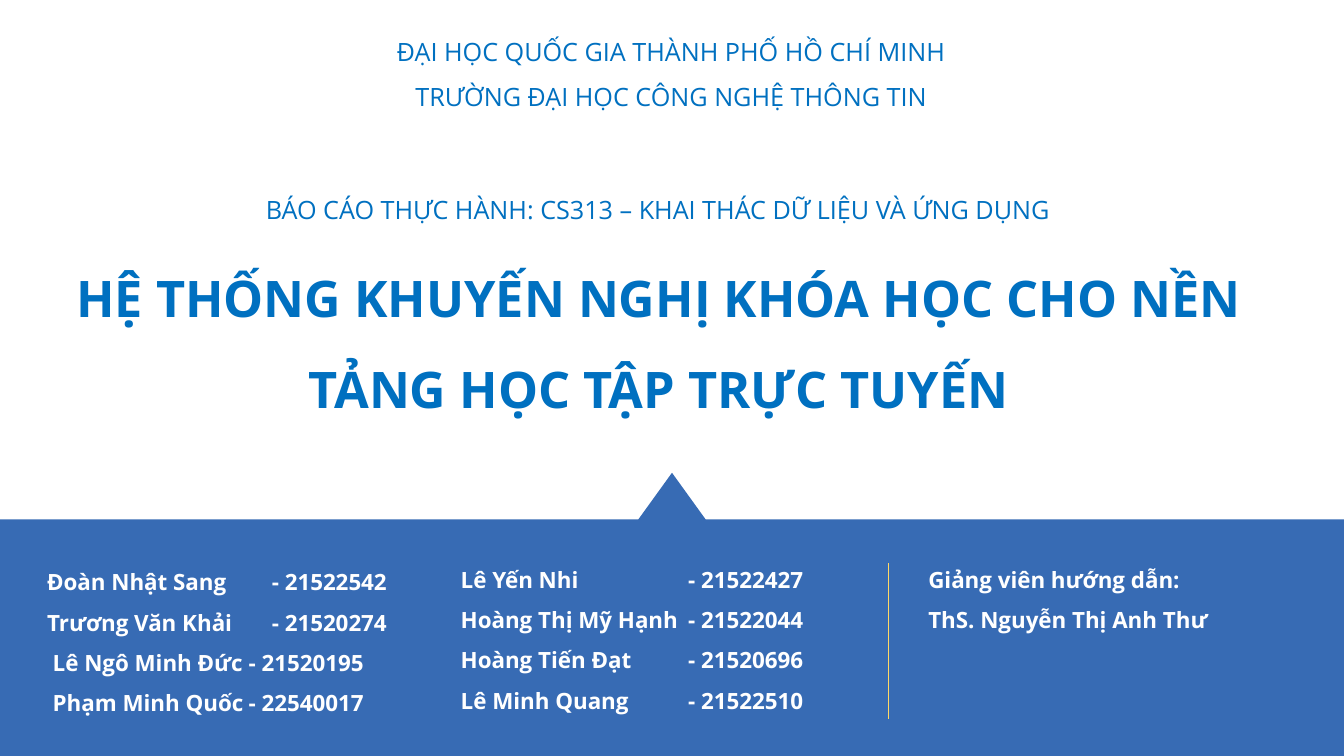
"""Build the title slide of a course recommendation system report."""
from dataclasses import dataclass

from lxml import etree
from pptx import Presentation
from pptx.dml.color import RGBColor
from pptx.enum.shapes import MSO_CONNECTOR
from pptx.enum.text import MSO_ANCHOR, MSO_AUTO_SIZE, PP_ALIGN
from pptx.oxml.ns import qn
from pptx.shapes.base import BaseShape
from pptx.slide import Slide
from pptx.util import Pt

LEFT, CENTER = PP_ALIGN.LEFT, PP_ALIGN.CENTER
TOP, BOTTOM = MSO_ANCHOR.TOP, MSO_ANCHOR.BOTTOM
NO_FIT = MSO_AUTO_SIZE.NONE
STRAIGHT = MSO_CONNECTOR.STRAIGHT


@dataclass(frozen=True)
class Theme:
    """Colours, font and type sizes."""
    heading: RGBColor = RGBColor(0x00, 0x70, 0xC0)
    band: RGBColor = RGBColor(0x37, 0x6B, 0xB4)
    rule: RGBColor = RGBColor(0xFF, 0xD9, 0x66)
    white: RGBColor = RGBColor(0xFF, 0xFF, 0xFF)
    font: str = "Open Sans"
    title: float = 36
    subtitle: float = 18
    names: float = 16


@dataclass(frozen=True)
class Line:
    """One paragraph with its first-line indent."""
    text: str
    indent: float = 0


@dataclass(frozen=True)
class Block:
    """A text block: place, lines and formatting."""
    left: float
    top: float
    width: float
    height: float
    lines: tuple[Line, ...]
    size: float
    color: RGBColor
    bold: bool = False
    align: PP_ALIGN = LEFT
    anchor: MSO_ANCHOR = TOP
    tab: float = 0


T = Theme()
NAMES = {"size": T.names, "color": T.white, "bold": True}
HEADING = {"color": T.heading, "align": CENTER}

TITLE = Block(13, 165.6, 915, 131, (
    Line("HỆ THỐNG KHUYẾN NGHỊ KHÓA HỌC CHO NỀN TẢNG HỌC TẬP TRỰC TUYẾN"),
), size=T.title, bold=True, **HEADING)
SUBTITLE = Block(182, 136, 576, 28, (
    Line("BÁO CÁO THỰC HÀNH: CS313 – KHAI THÁC DỮ LIỆU VÀ ỨNG DỤNG"),
), size=T.subtitle, anchor=BOTTOM, **HEADING)
BLOCKS = (
    Block(117.4, 11.5, 724, 69, (
        Line("ĐẠI HỌC QUỐC GIA THÀNH PHỐ HỒ CHÍ MINH"),
        Line("TRƯỜNG ĐẠI HỌC CÔNG NGHỆ THÔNG TIN"),
    ), size=T.subtitle, **HEADING),
    Block(26.6, 393, 280, 120, (
        Line("Đoàn Nhật Sang\t- 21522542"),
        Line("Trương Văn Khải\t- 21520274"),
        Line("Lê Ngô Minh Đức\t- 21520195", 4),
        Line("Phạm Minh Quốc\t- 22540017", 4),
    ), tab=160.5, **NAMES),
    Block(322, 391, 264, 120, (
        Line("Lê Yến Nhi\t- 21522427"),
        Line("Hoàng Thị Mỹ Hạnh\t- 21522044"),
        Line("Hoàng Tiến Đạt\t- 21520696"),
        Line("Lê Minh Quang\t- 21522510"),
    ), tab=162.5, **NAMES),
    Block(656, 391, 290, 63, (
        Line("Giảng viên hướng dẫn:"),
        Line("ThS. Nguyễn Thị Anh Thư"),
    ), **NAMES),
)
BAND = ((480, 337.7), (504, 371), (960, 371), (960, 540),
        (0, 540), (0, 371), (456, 371))


def set_all(target: object, values: dict[str, object]) -> None:
    """Set each attribute named in values."""
    for name, value in values.items():
        setattr(target, name, value)


def fill_block(sp: BaseShape, block: Block) -> None:
    """Place a text shape and write the lines of its block."""
    set_all(sp, {"left": Pt(block.left), "top": Pt(block.top),
                 "width": Pt(block.width), "height": Pt(block.height)})
    tf = sp.text_frame
    set_all(tf, {"word_wrap": True, "auto_size": NO_FIT,
                 "vertical_anchor": block.anchor})
    for i, line in enumerate(block.lines):
        p = tf.paragraphs[0] if i == 0 else tf.add_paragraph()
        ppr = p._p.get_or_add_pPr()
        if line.indent:
            ppr.set("indent", str(Pt(line.indent)))
        if block.tab:
            tabs = etree.SubElement(ppr, qn("a:tabLst"))
            etree.SubElement(tabs, qn("a:tab"), pos=str(Pt(block.tab)), algn="l")
        set_all(p, {"alignment": block.align, "line_spacing": 1.5,
                    "space_before": Pt(0)})
        r = p.add_run()
        r.text = line.text
        set_all(r.font, {"name": T.font, "size": Pt(block.size), "bold": block.bold})
        r.font.color.rgb = block.color


def add_band(s: Slide) -> None:
    """Draw the bottom band with its pointer."""
    points = [(Pt(x), Pt(y)) for x, y in BAND]
    builder = s.shapes.build_freeform(*points[0])
    builder.add_line_segments(points[1:], close=True)
    sp = builder.convert_to_shape()
    sp.shadow.inherit = False
    sp.fill.solid()
    sp.fill.fore_color.rgb = T.band
    sp.line.fill.background()


def add_rule(s: Slide, x: float, top: float, bottom: float) -> None:
    """Draw the vertical rule beside the lecturer."""
    rule = s.shapes.add_connector(STRAIGHT, Pt(x), Pt(top), Pt(x), Pt(bottom))
    rule.line.color.rgb = T.rule
    rule.line.width = Pt(0.75)
    etree.SubElement(rule._element.spPr, qn("a:effectLst"))


def main() -> None:
    """Build and save the slide."""
    prs = Presentation()
    set_all(prs, {"slide_width": Pt(960), "slide_height": Pt(540)})
    s = prs.slides.add_slide(prs.slide_layouts[0])
    add_band(s)
    fill_block(s.shapes.title, TITLE)
    fill_block(s.placeholders[1], SUBTITLE)
    add_rule(s, 635, 402.5, 513.5)
    for block in BLOCKS:
        fill_block(s.shapes.add_textbox(0, 0, 0, 0), block)
    prs.save("out.pptx")


if __name__ == "__main__":
    main()
